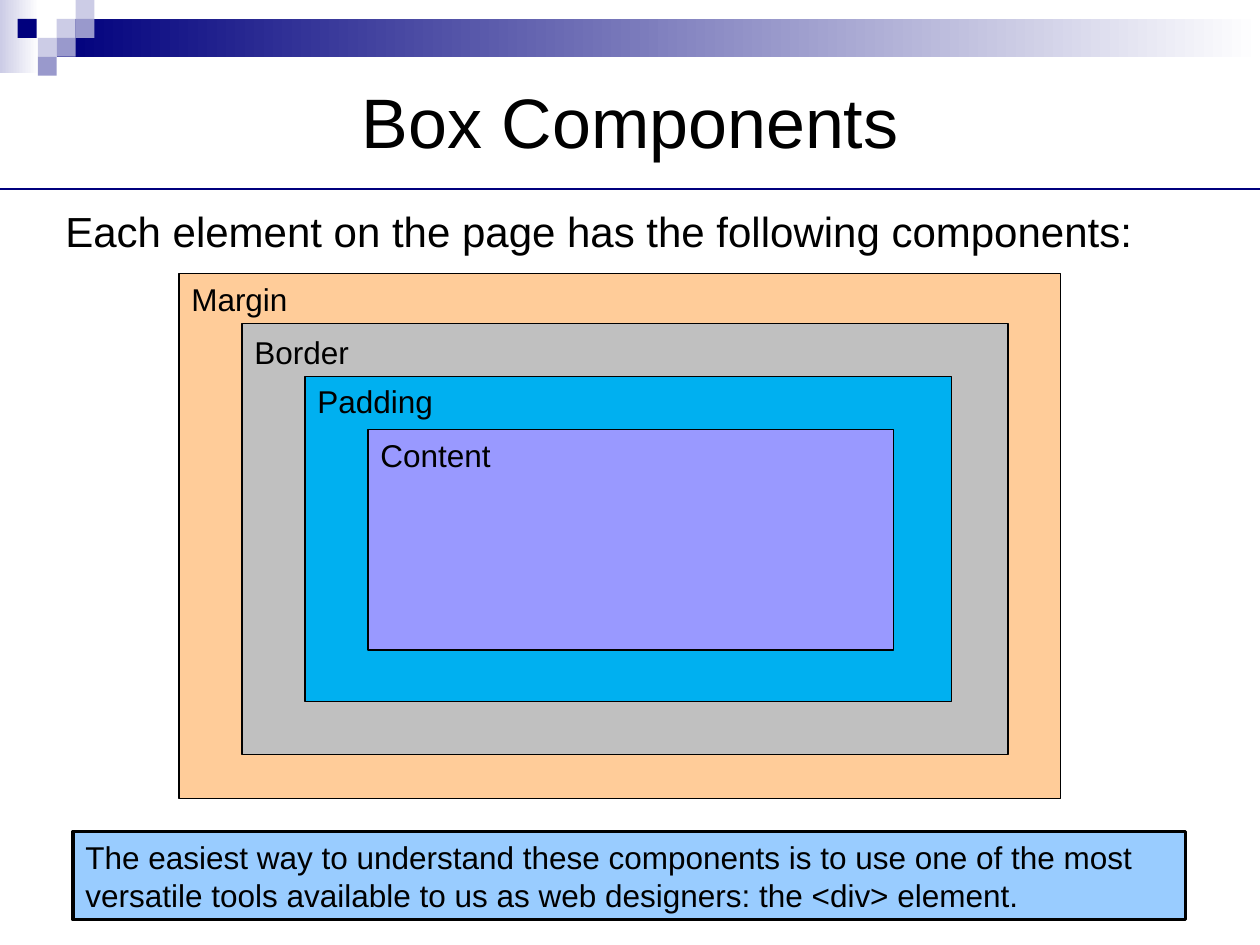
from pptx import Presentation
from pptx.dml.color import RGBColor
from pptx.enum.shapes import MSO_CONNECTOR, MSO_SHAPE
from pptx.enum.text import MSO_ANCHOR, MSO_AUTO_SIZE, PP_ALIGN
from pptx.oxml.ns import qn
from pptx.util import Inches, Pt
from lxml import etree

FONT = "Arial"
BLACK = RGBColor(0x00, 0x00, 0x00)
WHITE = RGBColor(0xFF, 0xFF, 0xFF)
NAVY = RGBColor(0x00, 0x00, 0x7D)
LAVENDER = RGBColor(0xCC, 0xCC, 0xE6)
VIOLET = RGBColor(0x99, 0x99, 0xCC)
PEACH = RGBColor(0xFF, 0xCC, 0x99)
GREY = RGBColor(0xC0, 0xC0, 0xC0)
BLUE = RGBColor(0x00, 0xB0, 0xF0)
PERIWINKLE = RGBColor(0x99, 0x99, 0xFF)
PALE_BLUE = RGBColor(0x99, 0xCC, 0xFF)

TILE = 0.15
TILES = [  # left, top, colour
    (0.45, 0.15, LAVENDER),
    (0.6, 0, LAVENDER),
    (0.6, 0.15, VIOLET),
    (0.3, 0.3, LAVENDER),
    (0.14, 0.15, NAVY),
    (0.45, 0.3, VIOLET),
    (0.3, 0.45, VIOLET),
]
BOX_LAYERS = [  # name, colour, box (left, top, width, height), label top, label width
    ("Margin", PEACH, (1.42, 2.17, 7, 4.17), 2.17, 1.08),
    ("Border", GREY, (1.92, 2.57, 6.08, 3.42), 2.59, 1),
    ("Padding", BLUE, (2.42, 2.99, 5.13, 2.58), 2.98, 1.33),
    ("Content", PERIWINKLE, (2.92, 3.41, 4.17, 1.75), 3.41, 1.08),
]


def add_rect(s, box, color=None, line_width=None):
    sp = s.shapes.add_shape(MSO_SHAPE.RECTANGLE, *map(Inches, box))
    sp.shadow.inherit = False
    if color is not None:
        sp.fill.solid()
        sp.fill.fore_color.rgb = color
    if line_width:
        sp.line.color.rgb = BLACK
        sp.line.width = Pt(line_width)
    else:
        sp.line.fill.background()
    return sp


def add_fade(s, box, color):
    """Rectangle fading from color on the left to white on the right."""
    sp = add_rect(s, box)
    sp.fill.gradient()
    sp.fill.gradient_angle = 0
    for stop, rgb, position in zip(sp.fill.gradient_stops, (color, WHITE), (0, 1)):
        stop.color.rgb = rgb
        stop.position = position


def write(sp, text, size, align=PP_ALIGN.LEFT, anchor=MSO_ANCHOR.TOP):
    tf = sp.text_frame
    tf.word_wrap = True
    tf.vertical_anchor = anchor
    p = tf.paragraphs[0]
    p.alignment = align
    r = p.add_run()
    r.text = text
    r.font.name = FONT
    r.font.size = Pt(size)
    r.font.color.rgb = BLACK
    return tf


def add_text(s, box, text, size, **layout):
    return write(s.shapes.add_textbox(*map(Inches, box)), text, size, **layout)


def add_rule(s, top):
    line = s.shapes.add_connector(
        MSO_CONNECTOR.STRAIGHT, 0, Inches(top), Inches(10), Inches(top))
    line.line.color.rgb = NAVY
    line.line.width = Pt(1.25)
    etree.SubElement(line._element.spPr, qn("a:effectLst"))


def add_header(s):
    add_fade(s, (0, 0, 0.31, 0.58), LAVENDER)
    add_fade(s, (0.45, 0.15, 9.55, 0.3), NAVY)
    for left, top, color in TILES:
        add_rect(s, (left, top, TILE, TILE), color)
    add_text(s, (0.5, 0.42, 9, 1.08), "Box Components", 40,
             align=PP_ALIGN.CENTER, anchor=MSO_ANCHOR.MIDDLE)
    add_rule(s, 1.5)


def add_box_model(s):
    for name, color, box, label_top, label_width in BOX_LAYERS:
        add_rect(s, box, color, 0.75)
        tf = add_text(s, (box[0], label_top, label_width, 0.4), name, 18)
        tf.auto_size = MSO_AUTO_SIZE.SHAPE_TO_FIT_TEXT


def add_note(s):
    sp = add_rect(s, (0.58, 6.6, 8.83, 0.7), PALE_BLUE, 2)
    tf = write(sp, "The easiest way to understand these components is to use one of "
               "the most versatile tools available to us as web designers: "
               "the <div> element.", 18)
    tf.auto_size = MSO_AUTO_SIZE.SHAPE_TO_FIT_TEXT
    p = tf.paragraphs[0]
    p.space_before = p.space_after = Pt(6)


def main():
    prs = Presentation()
    prs.slide_width, prs.slide_height = Inches(10), Inches(7.5)
    s = prs.slides.add_slide(prs.slide_layouts[6])
    add_header(s)
    tf = add_text(s, (0.42, 1.58, 9.08, 0.5),
                  "Each element on the page has the following components:", 24)
    tf.auto_size = MSO_AUTO_SIZE.SHAPE_TO_FIT_TEXT
    add_box_model(s)
    add_note(s)
    prs.save("out.pptx")


if __name__ == "__main__":
    main()
